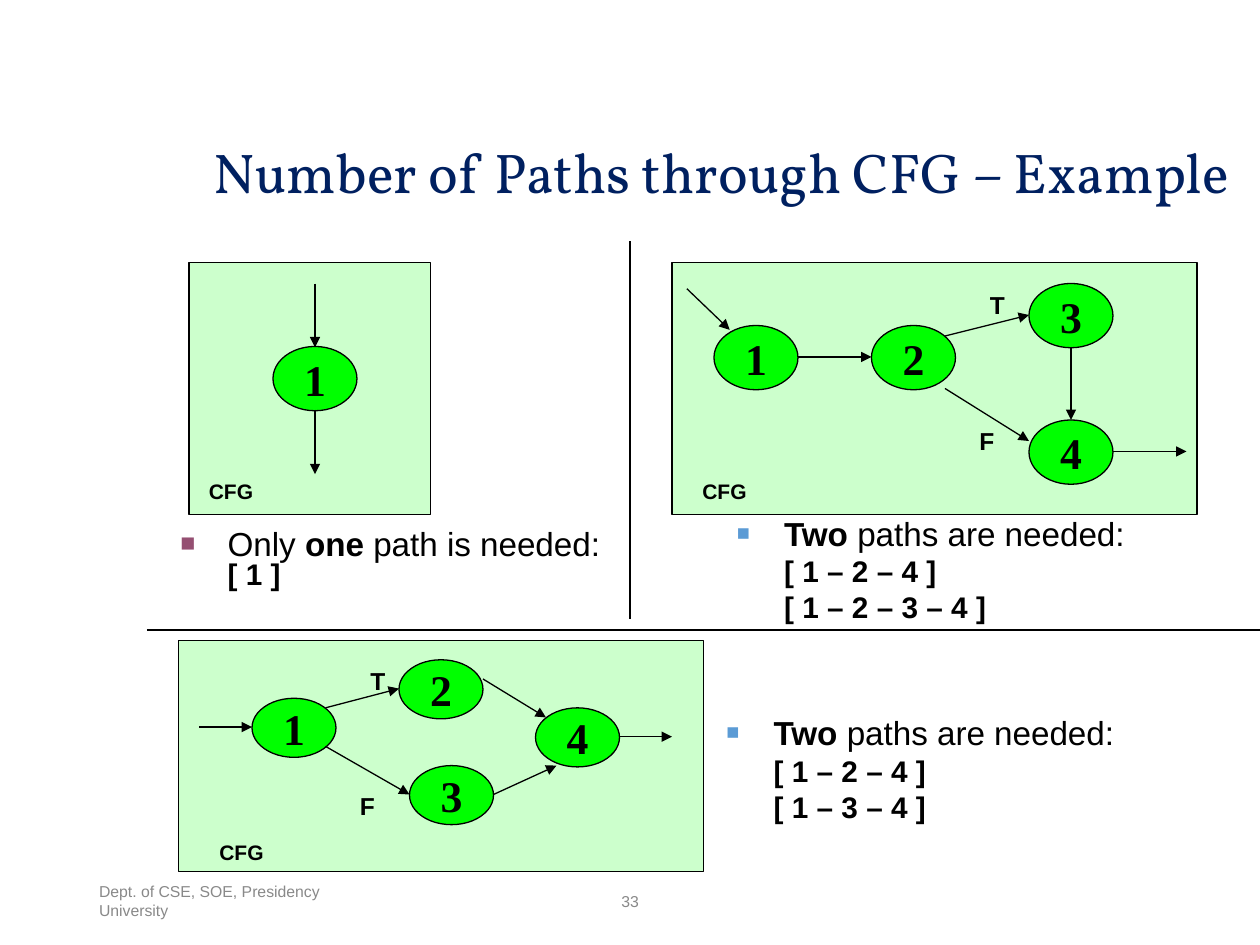
from lxml.etree import SubElement
from pptx import Presentation
from pptx.dml.color import RGBColor
from pptx.enum.shapes import MSO_CONNECTOR as Connector, MSO_SHAPE as Shape
from pptx.enum.text import MSO_ANCHOR as Anchor, PP_ALIGN as Align
from pptx.oxml.ns import qn
from pptx.util import Pt

BLACK = "000000"
NODE_WIDTH = 48


def color(value):
    return RGBColor.from_string(value)


def set_font(font, size, bold=False, name="Arial", ink=BLACK):
    font.name = name
    font.size = Pt(size)
    font.bold = bold
    font.color.rgb = color(ink)


def add_box(page, left, top, width, height):
    box = page.shapes.add_textbox(Pt(left), Pt(top), Pt(width), Pt(height))
    box.text_frame.word_wrap = True
    return box.text_frame


def add_label(page, text, left, top, width, height, size, bold=False,
              name="Arial", ink=BLACK, align=Align.CENTER, anchor=Anchor.TOP):
    frame = add_box(page, left, top, width, height)
    frame.vertical_anchor = anchor
    para = frame.paragraphs[0]
    para.text = text
    para.alignment = align
    set_font(para.font, size, bold, name, ink)
    return frame


def add_title(page, text):
    frame = add_label(page, text, 108, 80.6, 609, 43.2, 32, name="Vollkorn", ink="002060")
    frame.margin_left = frame.margin_right = Pt(5)
    frame.margin_top = frame.margin_bottom = Pt(2.2)
    frame.paragraphs[0].line_spacing = 0.9


def add_filled(page, kind, left, top, width, height, fill, weight):
    shape = page.shapes.add_shape(kind, Pt(left), Pt(top), Pt(width), Pt(height))
    shape.shadow.inherit = False
    shape.fill.solid()
    shape.fill.fore_color.rgb = color(fill)
    shape.line.color.rgb = color(BLACK)
    shape.line.width = Pt(weight)
    return shape


def add_node(page, text, left, top, height):
    node = add_filled(page, Shape.OVAL, left, top, NODE_WIDTH, height, "00FF00", 0.75)
    frame = node.text_frame
    frame.word_wrap = False
    frame.vertical_anchor = Anchor.MIDDLE
    para = frame.paragraphs[0]
    para.text = text
    para.alignment = Align.CENTER
    set_font(para.font, 25, True, "Times New Roman")


def add_line(page, start_x, start_y, end_x, end_y, weight=1, arrow=False):
    line = page.shapes.add_connector(
        Connector.STRAIGHT, Pt(start_x), Pt(start_y), Pt(end_x), Pt(end_y))
    line.line.color.rgb = color(BLACK)
    line.line.width = Pt(weight)
    if arrow:
        SubElement(line.line._get_or_add_ln(), qn("a:tailEnd"), type="triangle")
    SubElement(line._element.spPr, qn("a:effectLst"))


def add_graph(page, panel, node_height, nodes, edges, caption, branches=()):
    add_filled(page, Shape.RECTANGLE, *panel, "CCFFCC", 1)
    for number, (left, top) in enumerate(nodes, 1):
        add_node(page, str(number), left, top, node_height)
    for edge in edges:
        add_line(page, *edge, weight=0.75, arrow=True)
    add_label(page, "CFG", *caption, 48, 21.6, 12, True)
    for text, (left, top) in zip("TF", branches):
        add_label(page, text, left, top, 36, 24.5, 14, True)


def add_bullet(para, ink, percent):
    props = para._p.get_or_add_pPr()
    props.set("marL", str(Pt(27)))
    props.set("indent", str(-Pt(27)))
    SubElement(SubElement(props, qn("a:buClr")), qn("a:srgbClr"), val=ink)
    SubElement(props, qn("a:buSzPct"), val=str(percent * 1000))
    SubElement(props, qn("a:buFont"), typeface="Arial")
    SubElement(props, qn("a:buChar"), char="■")


def add_answer(page, place, bullet_ink, percent, spans, paths=()):
    frame = add_box(page, *place)
    para = frame.paragraphs[0]
    para.line_spacing = 0.8
    add_bullet(para, bullet_ink, percent)
    for text, size, bold in spans:
        span = para.add_run()
        span.text = text
        set_font(span.font, size, bold)
    for path_text in paths:
        para = frame.add_paragraph()
        para.text = path_text
        para.level = 1
        para.line_spacing = 0.8
        para.space_before = Pt(4.2)
        props = para._p.get_or_add_pPr()
        props.set("marL", str(Pt(27)))
        props.set("indent", "0")
        set_font(para.font, 17, True)


def main():
    deck = Presentation()
    deck.slide_width, deck.slide_height = Pt(720), Pt(540)
    page = deck.slides.add_slide(deck.slide_layouts[6])

    add_title(page, "Number of Paths through CFG – Example")
    footer = {"size": 9, "ink": "898989", "anchor": Anchor.MIDDLE}
    add_label(page, "Dept. of CSE, SOE, Presidency University",
              49.5, 500.5, 162, 28.8, align=Align.LEFT, **footer)
    add_label(page, "33", 238.5, 500.5, 243, 28.8, **footer)

    add_graph(page, (108, 150, 138, 144), 36.75, [(156, 198)],
              [(180, 162, 180, 198.5), (180, 234, 180, 271)], (108, 270))
    add_graph(page, (384, 150, 300, 144), 36.75,
              [(408, 186), (498, 186), (588, 162), (588, 240)],
              [(392.5, 165, 417, 188.5), (456, 204, 498, 204),
               (540, 192, 588, 180), (540, 222, 588, 252),
               (612, 198, 612, 240), (636, 258, 678, 258)],
              (390, 270), [(552, 162), (546, 240)])
    add_graph(page, (102, 366, 300, 132), 33.75,
              [(144, 399), (228, 377), (234, 437.5), (306, 404.5)],
              [(114, 415.5, 144, 415.5), (186, 404.5, 228, 393.5),
               (186, 426.5, 234, 454), (276, 388, 312, 410),
               (282, 454, 318, 437.5), (354, 421, 384, 421)],
              (114, 476), [(198, 377), (192, 448.5)])

    add_answer(page, (96, 300, 258, 48), "954F72", 75,
               [("Only ", 19, False), ("one ", 19, True),
                ("path is needed: ", 19, False), ("[ 1 ]", 17, True)])
    two_paths = [("Two ", 19, True), ("paths are needed:", 19, False)]
    add_answer(page, (414, 294, 270, 78), "5B9BD5", 65, two_paths,
               ["[ 1 – 2 – 4 ]", "[ 1 – 2 – 3 – 4 ]"])
    add_answer(page, (408, 408, 240, 96), "5B9BD5", 65, two_paths,
               ["[ 1 – 2 – 4 ]", "[ 1 – 3 – 4 ]"])

    add_line(page, 84, 360, 720, 360)
    add_line(page, 360, 138, 360, 354)
    deck.save("out.pptx")


if __name__ == "__main__":
    main()
